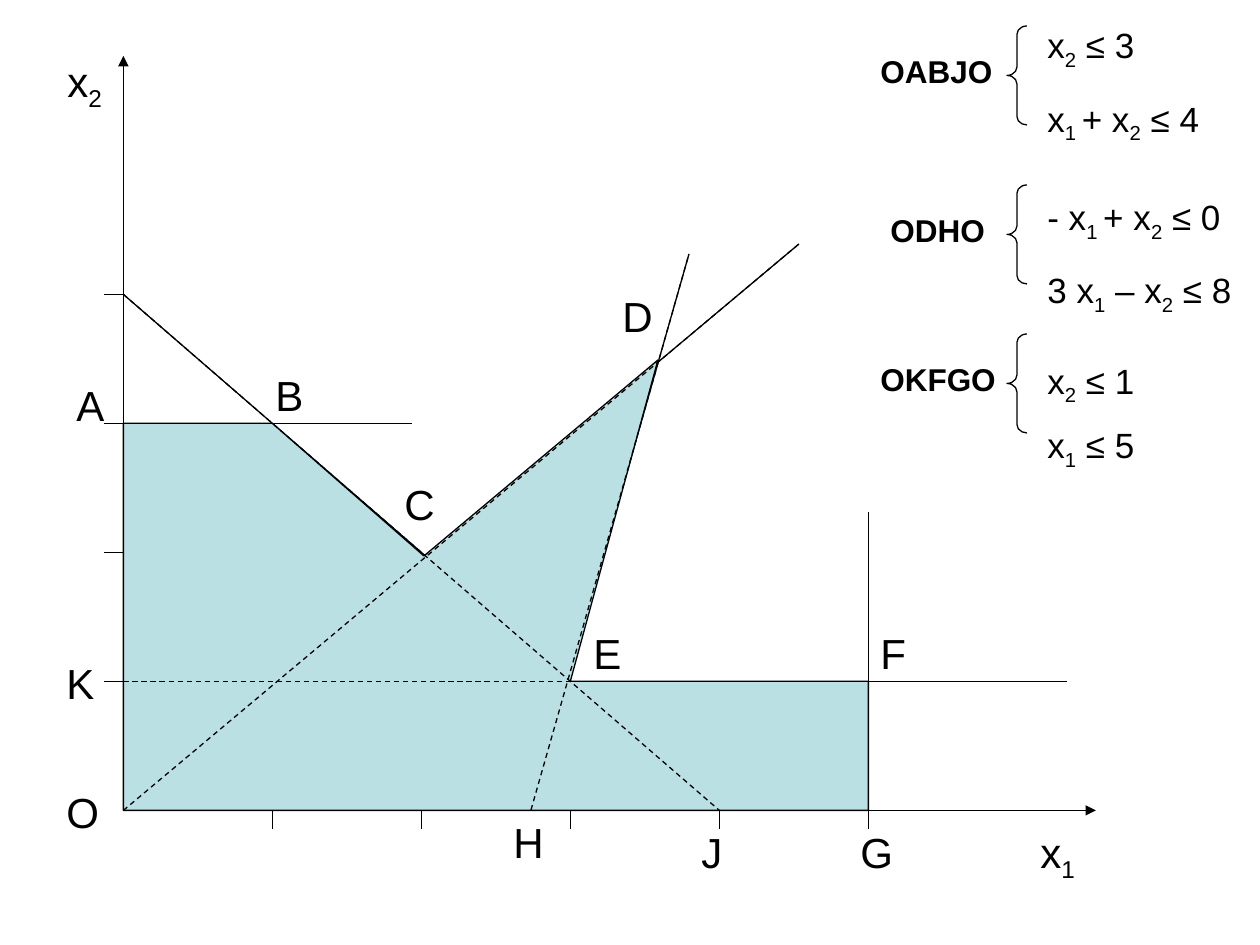
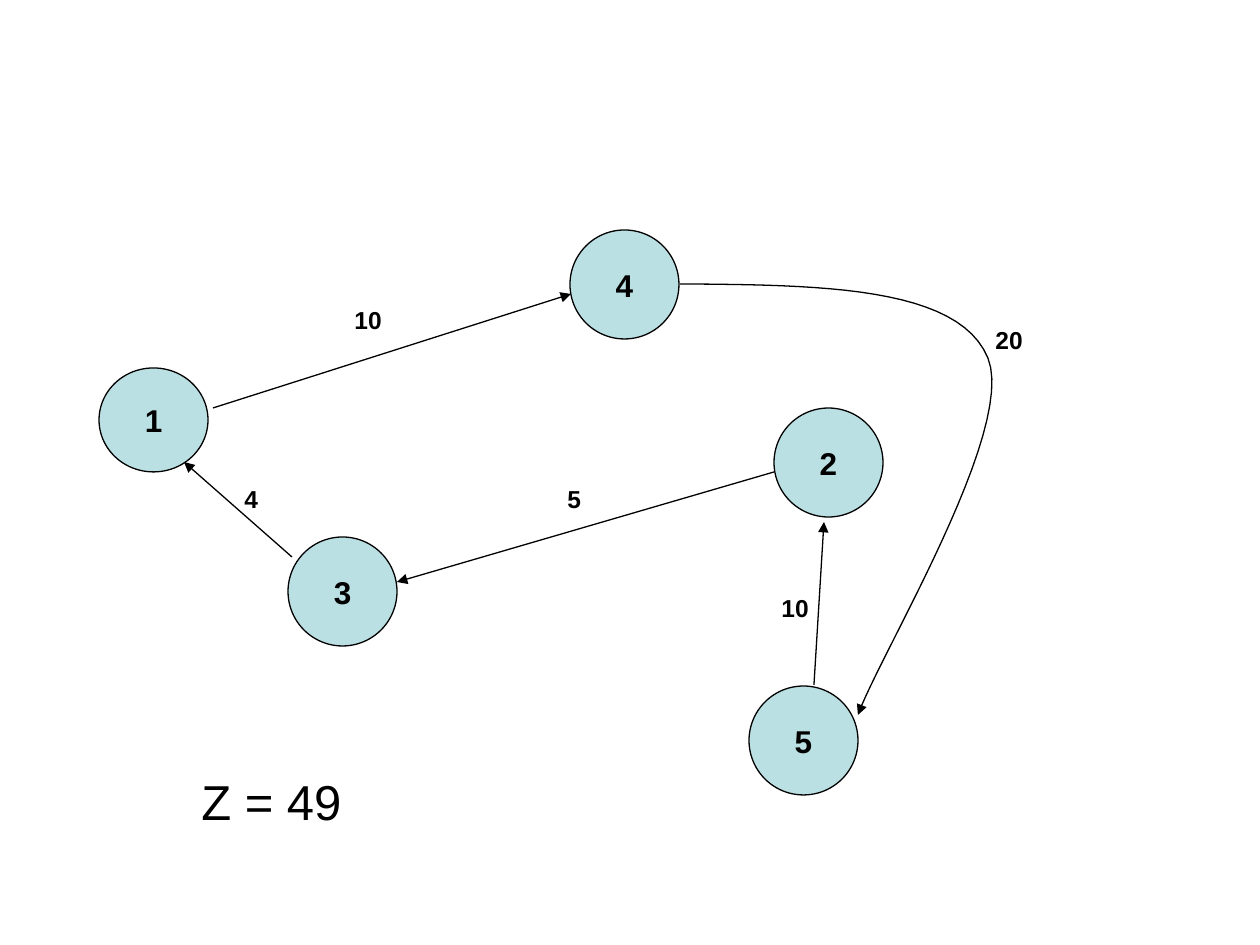
from lxml import etree
from pptx import Presentation
from pptx import util as u
from pptx.dml.color import RGBColor
from pptx.enum import dml, shapes, text
from pptx.oxml.ns import qn

PX = 914400 // 126
FONT = "Arial"
INK = "000000"
TEAL = "BBE0E3"
MIDDLE = text.MSO_ANCHOR.MIDDLE
CENTER = text.PP_ALIGN.CENTER

# Graph axes: origin, unit lengths, and a shift that keeps hairlines crisp
LEFT, BASE, STEP, RISE = 123, 810, 149, 129
SHIFT = 0.4


def color(code):
    return RGBColor.from_string(code)


def spot(x, y):
    """Turn graph coordinates into px."""
    return LEFT + STEP * x + SHIFT, BASE - RISE * y + SHIFT


def emu(*values):
    return [u.Emu(round(v * PX)) for v in values]


def ink(line, arrow=False, dash=False):
    """Style a line, with an arrowhead at its end if wanted."""
    line.color.rgb = color(INK)
    line.width = u.Pt(0.75)
    if dash:
        line.dash_style = dml.MSO_LINE.DASH
    if arrow:
        tip = etree.SubElement(line._get_or_add_ln(), qn("a:tailEnd"))
        tip.set("type", "triangle")


def link(slide, start, end, arrow=False, dash=False):
    line = slide.shapes.add_connector(
        shapes.MSO_CONNECTOR.STRAIGHT, *emu(*start, *end))
    ink(line.line, arrow, dash)
    etree.SubElement(line._element.spPr, qn("a:effectLst"))


def trace(slide, points, fill=None, arrow=False):
    """Draw an outline through points: closed if filled, else open."""
    pen = slide.shapes.build_freeform(*emu(*points[0]), scale=1.0)
    pen.add_line_segments([emu(*p) for p in points[1:]], close=bool(fill))
    shape = pen.convert_to_shape()
    finish(shape, fill)
    ink(shape.line, arrow)


def finish(shape, fill=None):
    shape.shadow.inherit = False
    if fill:
        shape.fill.solid()
        shape.fill.fore_color.rgb = color(fill)
    else:
        shape.fill.background()


def write(para, words, size, bold=False):
    """Add runs; parts between underscores are subscripts."""
    for i, part in enumerate(words.split("_")):
        if not part:
            continue
        run = para.add_run()
        run.text = part
        font = run.font
        font.name, font.size, font.bold = FONT, u.Pt(size), bold
        font.color.rgb = color(INK)
        if i % 2:
            font._element.set("baseline", "-25000")


def label(slide, words, x, y, w, h, size=24, bold=False):
    frame = slide.shapes.add_textbox(*emu(x, y, w, h)).text_frame
    frame.word_wrap = True
    write(frame.paragraphs[0], words, size, bold)


def rules(slide, rows):
    """Write the list of constraints, each with its space before."""
    frame = slide.shapes.add_textbox(*emu(1035, 1, 225, 433)).text_frame
    frame.word_wrap = True
    for i, (words, gap) in enumerate(rows):
        para = frame.add_paragraph() if i else frame.paragraphs[0]
        para.line_spacing = 1.35
        para.space_before = u.Pt(gap)
        write(para, words, 20)


def brace(slide, y):
    shape = slide.shapes.add_shape(
        shapes.MSO_SHAPE.LEFT_BRACE, *emu(1007, y, 20, 99))
    shape.adjustments[0] = 0.42
    finish(shape)
    ink(shape.line)


def node(slide, name, x, y, h=109):
    shape = slide.shapes.add_shape(
        shapes.MSO_SHAPE.OVAL, *emu(x, y, 109, h))
    finish(shape, TEAL)
    ink(shape.line)
    frame = shape.text_frame
    frame.word_wrap = False
    frame.vertical_anchor = MIDDLE
    para = frame.paragraphs[0]
    para.alignment = CENTER
    write(para, name, 18, True)


def bend(a, b, c, d, steps=24):
    """Points along a cubic curve from a to d."""
    def at(t):
        s = 1 - t
        parts = (s ** 3, 3 * s * s * t, 3 * s * t * t, t ** 3)
        return tuple(sum(k * p[i] for k, p in zip(parts, (a, b, c, d)))
                     for i in (0, 1))
    return [at(n / steps) for n in range(steps + 1)]


def graph(slide):
    rules(slide, [
        ("x_2_ ≤ 3", 0), ("x_1 _+ x_2_ ≤ 4", 5),
        ("- x_1 _+ x_2_ ≤ 0", 19.4), ("3 x_1_ – x_2_ ≤ 8", 5),
        ("x_2_ ≤ 1", 14.8), ("x_1_ ≤ 5", 0)])

    zero = spot(0, 0)
    link(slide, zero, (zero[0], 56), arrow=True)
    link(slide, zero, (1096, zero[1]), arrow=True)
    for n in range(1, 5):
        x, y = spot(0, n)
        link(slide, (x - 19, y), (x, y))
    for n in range(1, 6):
        x, y = spot(n, 0)
        link(slide, (x, y), (x, y + 19))

    slopes = [(spot(0, 4), spot(4, 0)), (zero, (799, 244)),
              ((531, BASE), (689, 254))]
    shelf, ledge, wall = spot(0, 3), spot(3, 1), spot(5, 0)
    level = (1067, ledge[1])
    solid = slopes + [(shelf, (412, shelf[1])), (ledge, level),
                      (wall, (wall[0], 512))]
    for start, end in solid:
        link(slide, start, end)
    trace(slide, [zero, shelf, spot(1, 3), (424, 556), (658, 360),
                  ledge, spot(5, 1), wall], TEAL)
    for start, end in slopes + [(spot(0, 1), level)]:
        link(slide, start, end, dash=True)

    for name, x, y in [
            ("O", 54, 780), ("A", 64, 373), ("B", 263, 363),
            ("C", 392, 472), ("D", 610, 284), ("E", 581, 621),
            ("F", 868, 621), ("G", 848, 820), ("H", 501, 810),
            ("J", 689, 820), ("K", 54, 651)]:
        label(slide, name, x, y, 64, 63)
    for words, x, y in [("x_2_", 55, 49), ("x_1_", 1028, 820)]:
        label(slide, words, x, y, 75, 71)
    for name, x, y, top in [("OABJO", 868, 46, 26), ("ODHO", 878, 205, 185),
                            ("OKFGO", 868, 354, 334)]:
        label(slide, name, x, y, 155, 50, 18, True)
        brace(slide, top)


def tour(slide):
    node(slide, "1", 99, 368, 104)
    for name, x, y in [("2", 774, 408), ("3", 288, 537),
                       ("4", 570, 230), ("5", 749, 686)]:
        node(slide, name, x, y)
    for start, end in [((213, 408), (571, 294)), ((814, 685), (824, 522)),
                       ((774, 472), (397, 582)), ((292, 557), (184, 462))]:
        link(slide, start, end, arrow=True)
    turn = (988, 358)
    curve = bend((680, 284), (819, 285), (958, 286), turn)
    curve += bend(turn, (1017, 430), (879, 656), (858, 715))[1:]
    trace(slide, curve, arrow=True)
    for cost, x, y in [("10", 342, 299), ("20", 983, 319), ("10", 769, 587),
                       ("5", 555, 478), ("4", 232, 478)]:
        label(slide, cost, x, y, 95, 43, 14, True)
    label(slide, "Z = 49", 189, 765, 218, 72, 28)


def main():
    deck = Presentation()
    deck.slide_width, deck.slide_height = u.Inches(10), u.Inches(7.5)
    for draw in (graph, tour):
        draw(deck.slides.add_slide(deck.slide_layouts[6]))
    deck.save("out.pptx")


if __name__ == "__main__":
    main()
